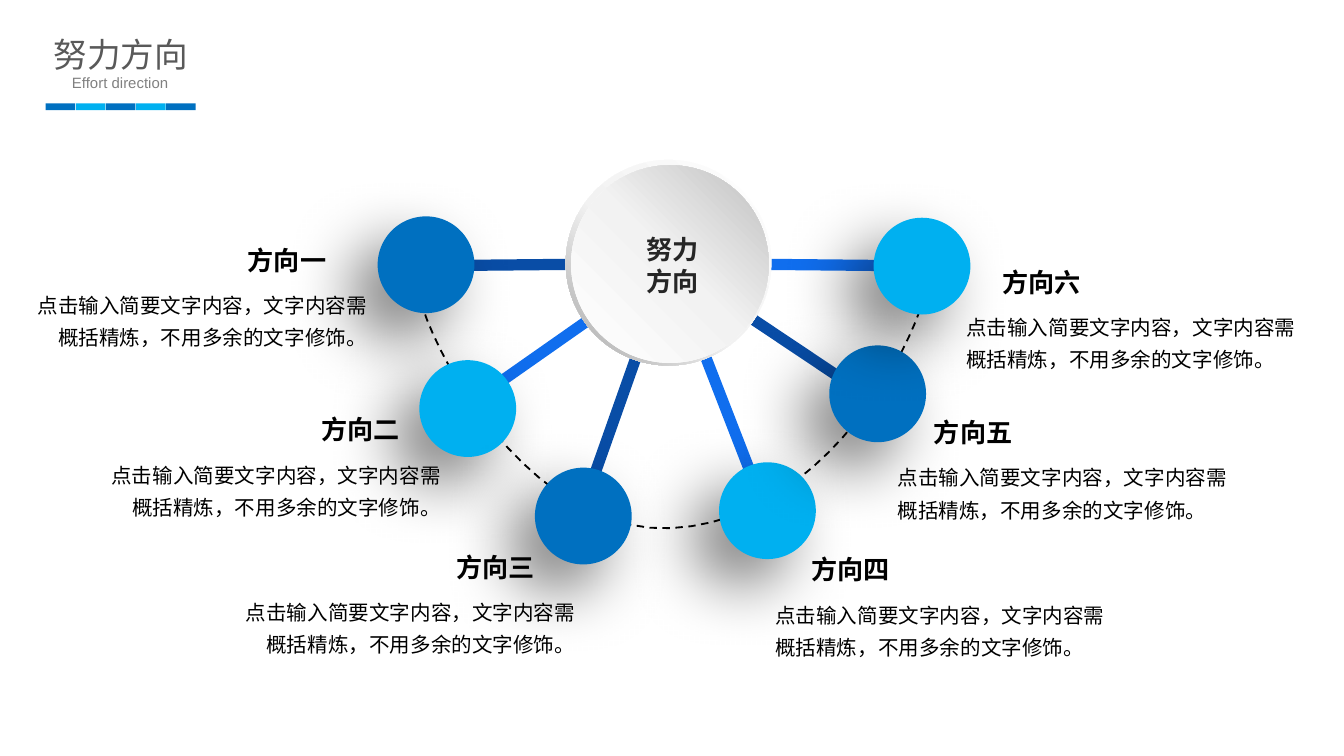
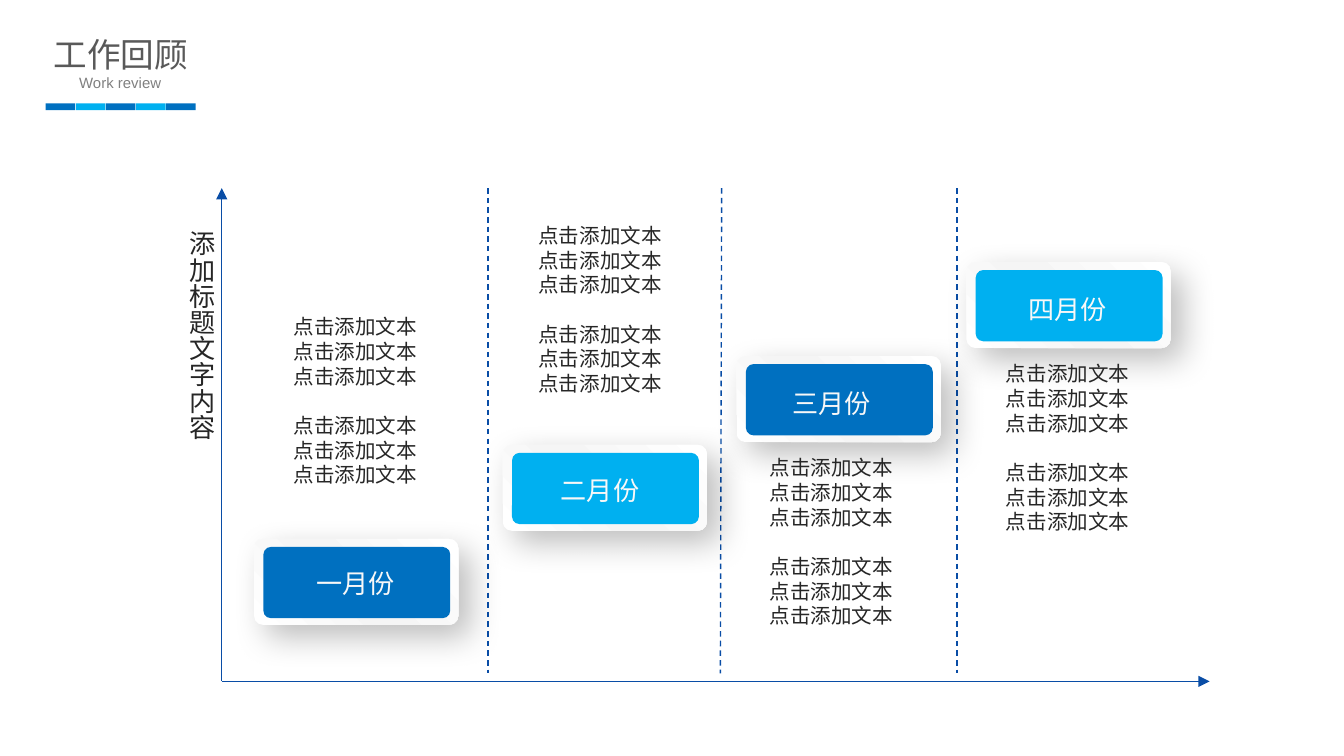
from dataclasses import dataclass

from lxml.etree import SubElement
from pptx import Presentation
from pptx.dml.color import RGBColor
from pptx.enum.dml import MSO_LINE
from pptx.enum.shapes import MSO_CONNECTOR, MSO_SHAPE
from pptx.enum.text import MSO_AUTO_SIZE, MSO_ANCHOR, PP_ALIGN as ALIGN
from pptx.oxml.ns import qn
from pptx.util import Inches, Pt

Point = tuple[float, float]
Stops = list[tuple[int, str]]


@dataclass(frozen=True)
class Theme:
    font: str = "Arial"
    blue: str = "0070C0"
    sky: str = "00B0F0"
    navy: str = "094DA6"
    bright: str = "106EEE"
    black: str = "000000"
    ink: str = "262626"
    title: str = "595959"
    subtitle: str = "808080"
    label: str = "F8F8F8"
    title_size: float = 18
    heading_size: float = 14
    body_size: float = 11
    subtitle_size: float = 8


@dataclass(frozen=True)
class Shadow:
    alpha: int
    blur: float
    distance: float
    angle: int


@dataclass(frozen=True)
class Direction:
    name: str
    ball: Point
    spoke_end: Point
    heading: Point
    on_left: bool


@dataclass(frozen=True)
class Month:
    name: str
    card: Point
    label: Point
    text: Point


T = Theme()
BALL_SHADOW = Shadow(50, 35, 20, 135)
CARD_SHADOW = Shadow(25, 18, 9, 45)
CARD_STOPS: Stops = [(0, "FFFFFF"), (47, "F5F5F5"), (100, "FFFFFF")]
RING_STOPS: Stops = [(0, "FFFFFF"), (55, "F2F2F2"), (100, "A6A6A6")]
DISC_STOPS: Stops = [(0, "FFFFFF"), (51, "F2F2F2"), (100, "BFBFBF")]

HUB: Point = (4.98, 1.96)
BALL_SIZE = 0.72
DIRECTION_TEXT = "点击输入简要文字内容，文字内容需概括精炼，不用多余的文字修饰。"
DIRECTIONS = [
    Direction("方向一", (3.17, 1.97), (2.89, 1.98), (1.74, 1.77), True),
    Direction("方向二", (3.48, 3.04), (3.34, 3.11), (2.29, 3.03), True),
    Direction("方向三", (4.34, 3.84), (4.29, 3.91), (3.29, 4.05), True),
    Direction("方向四", (5.71, 3.80), (5.71, 3.84), (5.94, 4.07), False),
    Direction("方向五", (6.53, 2.93), (6.58, 3.03), (6.85, 3.05), False),
    Direction("方向六", (6.86, 1.98), (7.01, 1.98), (7.36, 1.93), False),
]
ARC_START: Point = (3.15, 1.97)
ARC_CURVES: list[tuple[Point, Point, Point]] = [
    ((3.44, 1.98), (6.58, 1.93), (6.9, 2.02)),
    ((6.96, 2.26), (6.25, 3.88), (4.99, 3.93)),
    ((3.73, 3.99), (2.87, 1.96), (3.15, 1.97)),
]

MONTH_TEXT = "\v".join(["点击添加文本"] * 3)
MONTHS = [
    Month("一月份", (1.89, 4.01), (2.05, 4.17), (2.0, 2.29)),
    Month("二月份", (3.74, 3.31), (3.87, 3.48), (3.82, 1.61)),
    Month("三月份", (5.48, 2.65), (5.59, 2.83), (5.54, 3.34)),
    Month("四月份", (7.19, 1.95), (7.35, 2.13), (7.3, 2.64)),
]
AXIS_LEFT, AXIS_TOP, AXIS_BOTTOM, AXIS_RIGHT = 1.65, 1.4, 5.07, 9.0
DIVIDERS = [(3.63, 3.63), (5.37, 5.36), (7.12, 7.12)]


def rgb(color: str) -> RGBColor:
    return RGBColor.from_string(color)


def format_text(tf, size: float, color: str, align=ALIGN.LEFT, bold=False) -> None:
    for p in tf.paragraphs:
        p.alignment = align
        for r in p.runs:
            r.font.name = T.font
            r.font.size = Pt(size)
            r.font.bold = bold
            r.font.color.rgb = rgb(color)
            ea = SubElement(r.font._element, qn("a:ea"))
            ea.set("typeface", T.font)


def set_margins(tf, side: float, end: float) -> None:
    tf.margin_left = tf.margin_right = Inches(side)
    tf.margin_top = tf.margin_bottom = Inches(end)


def add_text(slide, text: str, left: float, top: float, width: float, height: float,
             size: float, color: str, align=ALIGN.LEFT, bold=False, wrap=True, grow=True):
    sp = slide.shapes.add_textbox(Inches(left), Inches(top), Inches(width), Inches(height))
    tf = sp.text_frame
    tf.word_wrap = wrap
    tf.auto_size = MSO_AUTO_SIZE.SHAPE_TO_FIT_TEXT if grow else MSO_AUTO_SIZE.NONE
    set_margins(tf, 0.1, 0.05)
    tf.text = text
    format_text(tf, size, color, align, bold)
    return tf


def add_shadow(sp, shadow: Shadow) -> None:
    effects = sp.element.spPr.find(qn("a:effectLst"))
    outer = SubElement(effects, qn("a:outerShdw"), blurRad=str(Pt(shadow.blur)),
                       dist=str(Pt(shadow.distance)), dir=str(shadow.angle * 60000),
                       algn="ctr", rotWithShape="0")
    clr = SubElement(outer, qn("a:srgbClr"), val=T.black)
    SubElement(clr, qn("a:alpha"), val=str(shadow.alpha * 1000))


def add_shape(slide, kind, left: float, top: float, width: float, height: float,
              color: str = "", stops: Stops | None = None, angle: int = 0,
              adjust: float | None = None, shadow: Shadow | None = None):
    sp = slide.shapes.add_shape(kind, Inches(left), Inches(top), Inches(width), Inches(height))
    if adjust is not None:
        sp.adjustments[0] = adjust
    if stops:
        sp.fill.gradient()
        sp.fill.gradient_angle = 360 - angle
        gs_list = sp.element.spPr.find(qn("a:gradFill")).find(qn("a:gsLst"))
        for gs in list(gs_list):
            gs_list.remove(gs)
        for pos, stop_color in stops:
            gs = SubElement(gs_list, qn("a:gs"), pos=str(pos * 1000))
            SubElement(gs, qn("a:srgbClr"), val=stop_color)
    else:
        sp.fill.solid()
        sp.fill.fore_color.rgb = rgb(color)
    sp.line.fill.background()
    sp.shadow.inherit = False
    if shadow:
        add_shadow(sp, shadow)
    return sp


def add_line(slide, start: Point, end: Point, color: str, width: float,
             dashed: bool = False, arrow: bool = False) -> None:
    cx = slide.shapes.add_connector(MSO_CONNECTOR.STRAIGHT, *map(Inches, start + end))
    cx.line.color.rgb = rgb(color)
    cx.line.width = Pt(width)
    if dashed:
        cx.line.dash_style = MSO_LINE.DASH
    if arrow:
        SubElement(cx.line._ln, qn("a:tailEnd"), type="triangle")
    SubElement(cx._element.spPr, qn("a:effectLst"))


def bezier(start: Point, c1: Point, c2: Point, end: Point, steps: int = 24) -> list[Point]:
    points = []
    for i in range(1, steps + 1):
        t = i / steps
        u = 1 - t
        x, y = (u**3 * a + 3 * u * u * t * b + 3 * u * t * t * c + t**3 * d
                for a, b, c, d in zip(start, c1, c2, end))
        points.append((Inches(x), Inches(y)))
    return points


def add_arc(slide) -> None:
    builder = slide.shapes.build_freeform(*map(Inches, ARC_START))
    start = ARC_START
    for c1, c2, end in ARC_CURVES:
        builder.add_line_segments(bezier(start, c1, c2, end), close=False)
        start = end
    sp = builder.convert_to_shape()
    sp.fill.background()
    sp.line.color.rgb = rgb(T.black)
    sp.line.width = Pt(1)
    sp.line.dash_style = MSO_LINE.DASH
    sp.shadow.inherit = False


def new_slide(prs, title: str, subtitle: str):
    slide = prs.slides.add_slide(prs.slide_layouts[5])
    # Title
    sp = slide.shapes.title
    sp.left, sp.top, sp.width, sp.height = map(Inches, (0.32, 0.21, 1.16, 0.38))
    tf = sp.text_frame
    tf.text = title
    tf.auto_size = MSO_AUTO_SIZE.NONE
    tf.word_wrap = False
    tf.vertical_anchor = MSO_ANCHOR.TOP
    set_margins(tf, 0.07, 0.04)
    format_text(tf, T.title_size, T.title, ALIGN.CENTER)
    # Subtitle and striped band
    add_text(slide, subtitle, -0.07, 0.5, 1.93, 0.24, T.subtitle_size, T.subtitle, ALIGN.CENTER)
    for i in range(5):
        add_shape(slide, MSO_SHAPE.RECTANGLE, 0.34 + 0.224 * i, 0.77, 0.22, 0.05,
                  T.sky if i % 2 else T.blue)
    return slide


def build_directions(prs) -> None:
    slide = new_slide(prs, "努力方向", "Effort direction")
    # Dashed arc and spokes
    add_arc(slide)
    for i, d in enumerate(DIRECTIONS):
        add_line(slide, d.spoke_end, HUB, T.bright if i % 2 else T.navy, 6)
    # Balls
    for i, d in enumerate(DIRECTIONS):
        x, y = (c - BALL_SIZE / 2 for c in d.ball)
        add_shape(slide, MSO_SHAPE.OVAL, x, y, BALL_SIZE, BALL_SIZE,
                  T.sky if i % 2 else T.blue, shadow=BALL_SHADOW)
    # Headings and descriptions
    for d in DIRECTIONS:
        x, y = d.heading
        add_text(slide, d.name, x, y, 0.79, 0.34, T.heading_size, T.black,
                 ALIGN.CENTER if d.on_left else ALIGN.LEFT, bold=True, wrap=False)
        tf = add_text(slide, DIRECTION_TEXT, x - (1.7 if d.on_left else 0.27), y + 0.31,
                      2.79, 0.56, T.body_size, T.black,
                      ALIGN.RIGHT if d.on_left else ALIGN.LEFT)
        tf.paragraphs[0].line_spacing = 1.3
    # Hub
    add_shape(slide, MSO_SHAPE.DONUT, 4.21, 1.19, 1.53, 1.53,
              stops=RING_STOPS, angle=135, adjust=0.049)
    add_shape(slide, MSO_SHAPE.OVAL, 4.25, 1.23, 1.47, 1.47, stops=DISC_STOPS, angle=315)
    add_text(slide, "努力\n方向", 4.71, 1.69, 0.59, 0.57, T.heading_size, T.ink,
             ALIGN.CENTER, bold=True, wrap=False)


def build_review(prs) -> None:
    slide = new_slide(prs, "工作回顾", "Work review")
    # Axes and dividers
    origin = (AXIS_LEFT, AXIS_BOTTOM)
    for end in ((AXIS_LEFT, AXIS_TOP), (AXIS_RIGHT, AXIS_BOTTOM)):
        add_line(slide, origin, end, T.navy, 0.75, arrow=True)
    for top_x, bottom_x in DIVIDERS:
        add_line(slide, (top_x, AXIS_TOP), (bottom_x, 5.01), T.navy, 0.75, dashed=True)
    tf = add_text(slide, "添加标题文字内容", 1.23, 1.62, 0.44, 2.03, T.heading_size, T.ink)
    tf._txBody.bodyPr.set("vert", "eaVert")
    # Month cards and their text
    for i, m in enumerate(MONTHS):
        x, y = m.card
        add_shape(slide, MSO_SHAPE.ROUNDED_RECTANGLE, x, y, 1.52, 0.64, stops=CARD_STOPS,
                  angle=315, adjust=0.106, shadow=CARD_SHADOW)
        add_shape(slide, MSO_SHAPE.ROUNDED_RECTANGLE, x + 0.07, y + 0.06, 1.39, 0.53,
                  T.sky if i % 2 else T.blue, adjust=0.106)
        add_text(slide, m.name, *m.label, 1.19, 0.35,
                 T.heading_size, T.label, ALIGN.CENTER, grow=False)
        tf = add_text(slide, f"{MONTH_TEXT}\n{MONTH_TEXT}", *m.text, 1.29, 1.4,
                      T.body_size, T.ink, ALIGN.CENTER)
        tf.paragraphs[1].space_before = Pt(13.2)


def main() -> None:
    prs = Presentation()
    prs.slide_width = Inches(10)
    prs.slide_height = prs.slide_width * 9 // 16
    build_directions(prs)
    build_review(prs)
    prs.save("out.pptx")


if __name__ == "__main__":
    main()
